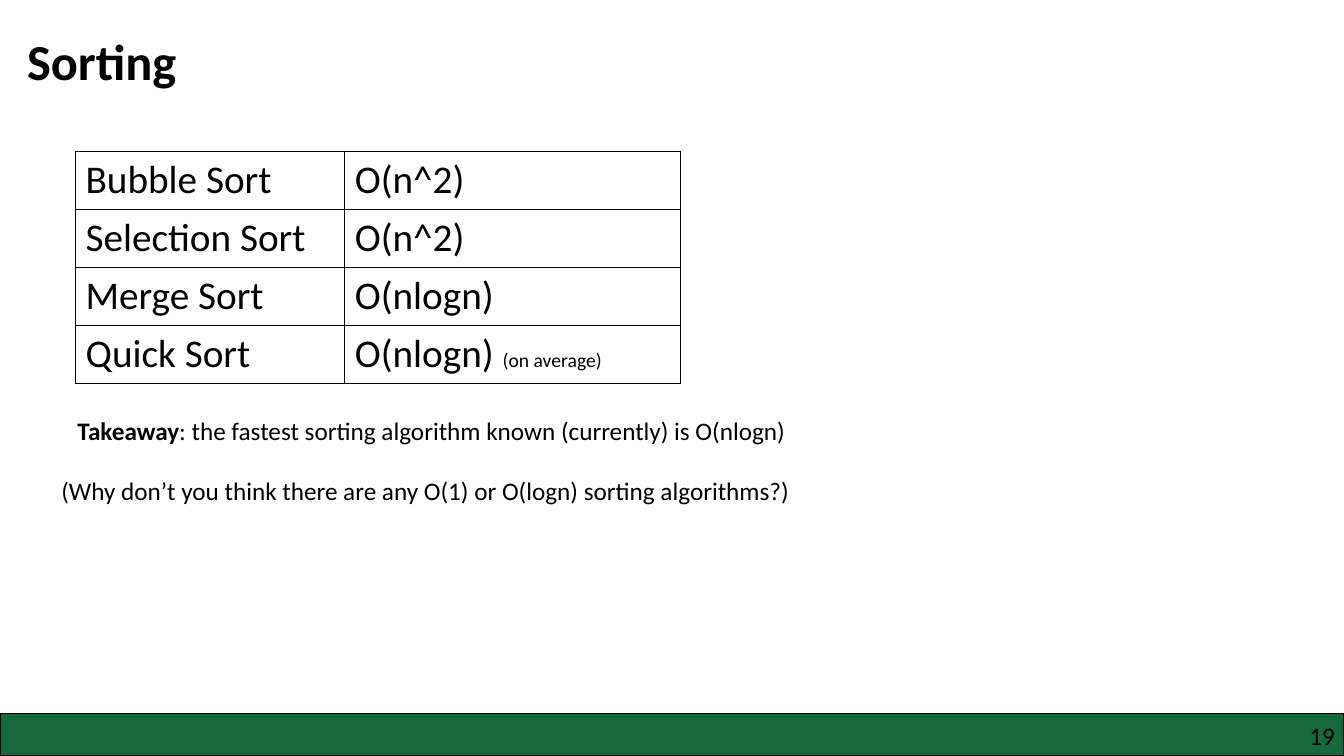
from dataclasses import dataclass

from lxml import etree
from pptx import Presentation
from pptx import util as u
from pptx.dml import color
from pptx.enum import shapes, text
from pptx.oxml import ns


@dataclass(frozen=True)
class Theme:
    font: str = "Calibri"
    ink: str = "000000"
    green: str = "15693B"
    title: int = 36
    table: int = 28
    body: int = 18
    note: int = 14
    line: int = 1


@dataclass(frozen=True)
class Span:
    words: str
    size: int
    bold: bool = False


@dataclass(frozen=True)
class Label:
    left: float
    top: float
    width: float
    height: float
    spans: tuple[Span, ...]
    align: text.PP_ALIGN = text.PP_ALIGN.LEFT
    inset: bool = True


THEME = Theme()
PAGE_WIDTH, PAGE_HEIGHT, FOOTER_HEIGHT = 13.33, 7.5, 0.42
COLUMN_WIDTHS = (2.67, 3.33)
ROW_HEIGHT = 0.57

LABELS = (
    Label(0.17, 0.25, 1.97, 0.71, (Span("Sorting", THEME.title, True),)),
    Label(0.67, 4.07, 7.96, 0.4, (
        Span("Takeaway", THEME.body, True),
        Span(": the fastest sorting algorithm known (currently) is O(nlogn)", THEME.body),
    )),
    Label(0.51, 4.67, 8.11, 0.4, (
        Span("(Why don’t you think there are any O(1) or O(logn) sorting algorithms?)", THEME.body),
    )),
    Label(10.17, 7.15, 3.07, 0.3, (Span("19", THEME.body),), text.PP_ALIGN.RIGHT, False),
)

# Algorithm, running time, remark
SORTS = (
    ("Bubble Sort", "O(n^2)", ""),
    ("Selection Sort", "O(n^2)", ""),
    ("Merge Sort", "O(nlogn)", ""),
    ("Quick Sort", "O(nlogn) ", "(on average)"),
)


def rgb(code: str) -> color.RGBColor:
    return color.RGBColor.from_string(code)


def write(para, spans: tuple[Span, ...]) -> None:
    for span in spans:
        run = para.add_run()
        run.text = span.words
        run.font.name = THEME.font
        run.font.size = u.Pt(span.size)
        run.font.bold = span.bold
        run.font.color.rgb = rgb(THEME.ink)


def add_footer(page) -> None:
    band = page.shapes.add_shape(
        shapes.MSO_SHAPE.RECTANGLE,
        u.Inches(0), u.Inches(PAGE_HEIGHT - FOOTER_HEIGHT),
        u.Inches(PAGE_WIDTH), u.Inches(FOOTER_HEIGHT),
    )
    band.shadow.inherit = False
    band.fill.solid()
    band.fill.fore_color.rgb = rgb(THEME.green)
    band.line.color.rgb = rgb(THEME.ink)
    band.line.width = u.Pt(THEME.line)


def add_label(page, label: Label) -> None:
    box = page.shapes.add_textbox(
        u.Inches(label.left), u.Inches(label.top),
        u.Inches(label.width), u.Inches(label.height),
    )
    frame = box.text_frame
    frame.word_wrap = True
    if not label.inset:
        frame.margin_left = frame.margin_right = 0
        frame.margin_top = frame.margin_bottom = 0
    para = frame.paragraphs[0]
    para.alignment = label.align
    write(para, label.spans)


def add_borders(cell) -> None:
    properties = cell._tc.get_or_add_tcPr()
    for side in ("a:lnL", "a:lnR", "a:lnT", "a:lnB"):
        edge = etree.SubElement(properties, ns.qn(side), w=str(u.Pt(THEME.line)))
        fill = etree.SubElement(edge, ns.qn("a:solidFill"))
        etree.SubElement(fill, ns.qn("a:srgbClr"), val=THEME.ink)


def add_sort_table(page) -> None:
    grid = page.shapes.add_table(
        len(SORTS), len(COLUMN_WIDTHS), u.Inches(0.75), u.Inches(1.5),
        u.Inches(sum(COLUMN_WIDTHS)), u.Inches(ROW_HEIGHT * len(SORTS)),
    ).table
    grid.first_row = grid.horz_banding = False
    for column, width in zip(grid.columns, COLUMN_WIDTHS):
        column.width = u.Inches(width)
    for row, (name, cost, remark) in zip(grid.rows, SORTS):
        row.height = u.Inches(ROW_HEIGHT)
        cost_spans = (Span(cost, THEME.table),)
        if remark:
            cost_spans += (Span(remark, THEME.note),)
        for cell, spans in zip(row.cells, ((Span(name, THEME.table),), cost_spans)):
            add_borders(cell)
            cell.fill.background()
            write(cell.text_frame.paragraphs[0], spans)


def main() -> None:
    deck = Presentation()
    deck.slide_width = u.Inches(PAGE_WIDTH)
    deck.slide_height = u.Inches(PAGE_HEIGHT)
    page = deck.slides.add_slide(deck.slide_layouts[6])

    # Green band first, so the page number lies on it
    add_footer(page)
    # Running times
    add_sort_table(page)
    # Title, remarks and page number
    for label in LABELS:
        add_label(page, label)

    deck.save("out.pptx")


if __name__ == "__main__":
    main()
